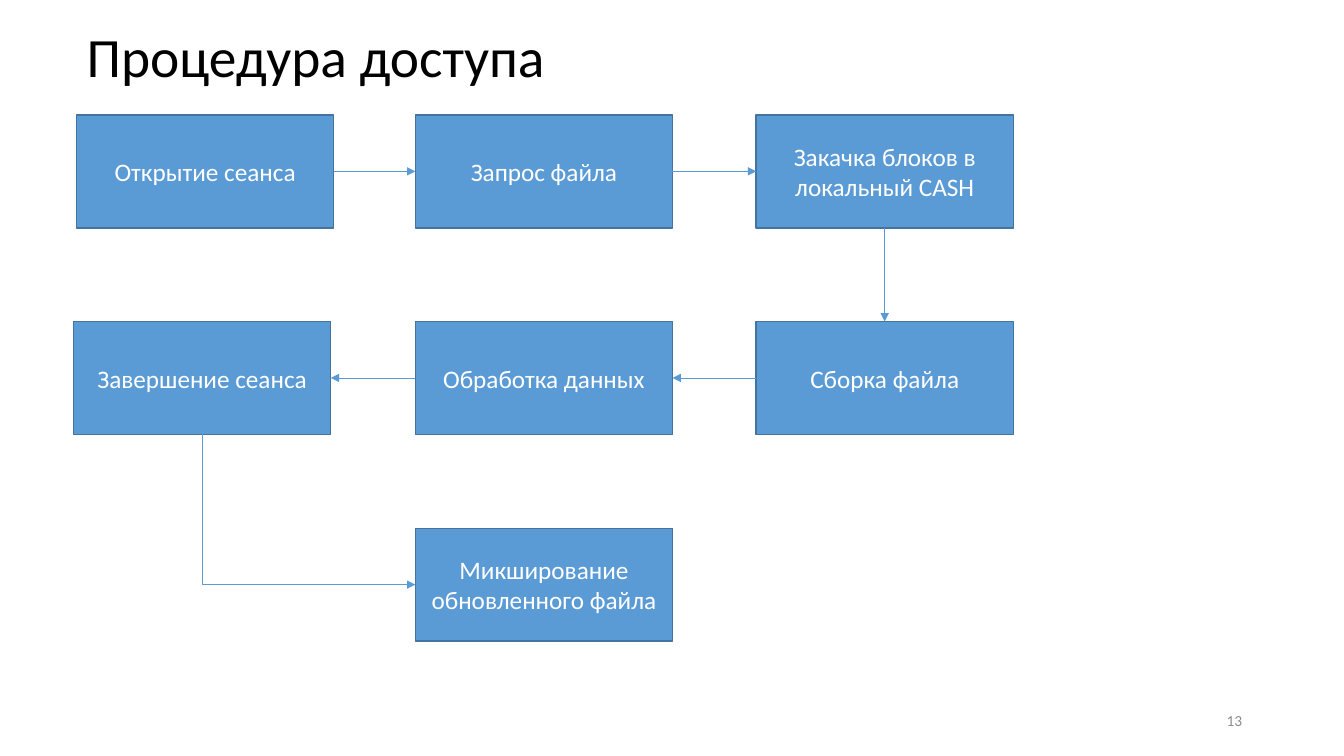
"""Build a slide with the flowchart of the file access procedure."""
from lxml import etree
from pptx import Presentation
from pptx.dml.color import RGBColor
from pptx.enum import shapes, text
from pptx.oxml import ns
from pptx.util import Inches, Pt

TITLE = "Процедура доступа"
PAGE_NUMBER = "13"
FONT = "Calibri"
BLUE, OUTLINE, WHITE, BLACK, GRAY = "5B9BD5", "43739E", "FFFFFF", "000000", "8C8C8C"

BOX_WIDTH, BOX_HEIGHT = 2.55, 1.12
TOP, ROW_STEP = 1.14, 2.05
LEFT, MIDDLE, RIGHT = 0.76, 4.12, 7.5
STEPS = [
    ("Открытие сеанса", LEFT, 0),
    ("Запрос файла", MIDDLE, 0),
    ("Закачка блоков в локальный CASH", RIGHT, 0),
    ("Сборка файла", RIGHT, 1),
    ("Обработка данных", MIDDLE, 1),
    ("Завершение сеанса", 0.73, 1),
    ("Микширование обновленного файла", MIDDLE, 2),
]
SITE_TOP, SITE_LEFT, SITE_BOTTOM, SITE_RIGHT = range(4)
ARROW_SITES = [
    (SITE_RIGHT, SITE_LEFT),
    (SITE_RIGHT, SITE_LEFT),
    (SITE_BOTTOM, SITE_TOP),
    (SITE_LEFT, SITE_RIGHT),
    (SITE_LEFT, SITE_RIGHT),
    (SITE_BOTTOM, SITE_LEFT),
]


def color(value):
    return RGBColor.from_string(value)


def write(shape, content, size, fill, align, spacing=None):
    frame = shape.text_frame
    frame.word_wrap = True
    frame.auto_size = text.MSO_AUTO_SIZE.NONE
    frame.vertical_anchor = text.MSO_ANCHOR.MIDDLE
    paragraph = frame.paragraphs[0]
    paragraph.alignment = align
    paragraph.line_spacing = spacing
    run = paragraph.add_run()
    run.text = content
    run.font.name = FONT
    run.font.size = Pt(size)
    run.font.color.rgb = color(fill)


def add_box(slide, content, left, row):
    box = slide.shapes.add_shape(
        shapes.MSO_SHAPE.FLOWCHART_PROCESS, Inches(left), Inches(TOP + row * ROW_STEP),
        Inches(BOX_WIDTH), Inches(BOX_HEIGHT))
    box.shadow.inherit = False
    box.fill.solid()
    box.fill.fore_color.rgb = color(BLUE)
    box.line.color.rgb = color(OUTLINE)
    box.line.width = Pt(1)
    write(box, content, 18, WHITE, text.PP_ALIGN.CENTER)
    return box


def bend_down_then_right(connector):
    left, top, width, height = connector.left, connector.top, connector.width, connector.height
    connector.left, connector.top = left + (width - height) // 2, top + (height - width) // 2
    connector.width, connector.height = height, width
    properties = connector._element.spPr
    transform = properties.find(ns.qn("a:xfrm"))
    transform.set("rot", "16200000")
    transform.set("flipH", "1")
    properties.find(ns.qn("a:prstGeom")).set("prst", "bentConnector2")


def add_arrow(slide, source, target, sites):
    bent = sites == (SITE_BOTTOM, SITE_LEFT)
    kind = shapes.MSO_CONNECTOR.ELBOW if bent else shapes.MSO_CONNECTOR.STRAIGHT
    connector = slide.shapes.add_connector(kind, 0, 0, 0, 0)
    connector.begin_connect(source, sites[0])
    connector.end_connect(target, sites[1])
    if bent:
        bend_down_then_right(connector)
    connector.line.color.rgb = color(BLUE)
    connector.line.width = Pt(0.5)
    etree.SubElement(connector.line._get_or_add_ln(), ns.qn("a:tailEnd"), type="triangle")
    etree.SubElement(connector._element.spPr, ns.qn("a:effectLst"))


def main():
    presentation = Presentation()
    presentation.slide_width, presentation.slide_height = Inches(13.33), Inches(7.5)
    slide = presentation.slides.add_slide(presentation.slide_layouts[5])

    title = slide.shapes.title
    title.left, title.top = Inches(0.76), Inches(0.32)
    title.width, title.height = Inches(10.6), Inches(0.55)
    write(title, TITLE, 39.6, BLACK, text.PP_ALIGN.LEFT, spacing=0.9)

    number = slide.shapes.add_textbox(Inches(9.42), Inches(6.95), Inches(3), Inches(0.4))
    write(number, PAGE_NUMBER, 11, GRAY, text.PP_ALIGN.RIGHT)

    boxes = [add_box(slide, *step) for step in STEPS]
    for source, target, sites in zip(boxes, boxes[1:], ARROW_SITES):
        add_arrow(slide, source, target, sites)

    presentation.save("out.pptx")


if __name__ == "__main__":
    main()
